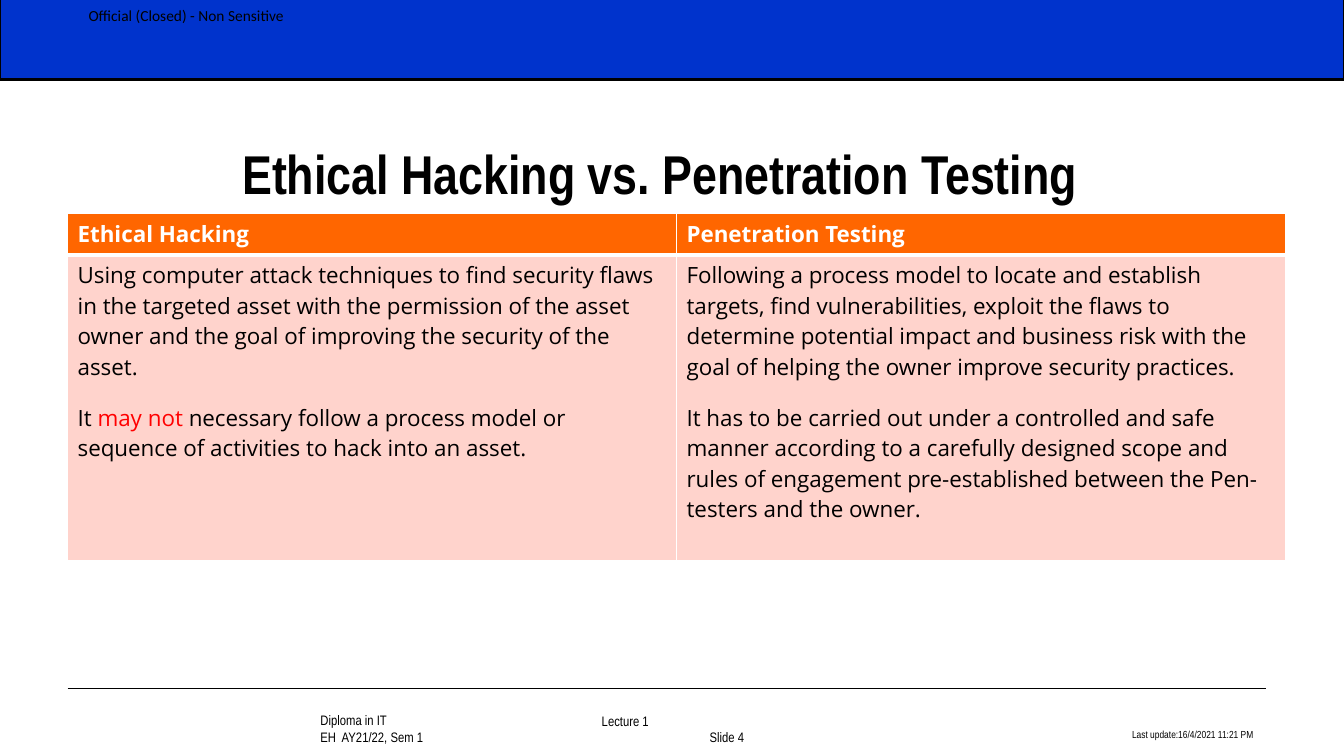
from pptx import Presentation
from pptx.dml.color import RGBColor
from pptx.enum.shapes import MSO_CONNECTOR, MSO_SHAPE
from pptx.enum.text import MSO_ANCHOR, PP_ALIGN
from pptx.oxml import parse_xml
from pptx.oxml.ns import nsdecls
from pptx.util import Inches, Pt

BLACK, WHITE = RGBColor(0, 0, 0), RGBColor(255, 255, 255)
BLUE, ORANGE = RGBColor(0x00, 0x33, 0xCC), RGBColor(0xFF, 0x66, 0x00)
PINK, RED = RGBColor(0xFF, 0xD3, 0xCC), RGBColor(0xFF, 0, 0)
NARROW, SANS, BODY = "Arial Narrow", "Calibri", "Open Sans"

TITLE = "Ethical Hacking vs. Penetration Testing"
# Each column: heading, then paragraphs made of (text, colour) runs
COLUMNS = [
    ("Ethical Hacking", [
        [("Using computer attack techniques to find security flaws in the "
          "targeted asset with the permission of the asset owner and the goal "
          "of improving the security of the asset.", BLACK)],
        [("It ", BLACK), ("may not ", RED),
         ("necessary follow a process model or sequence of activities to hack "
          "into an asset.", BLACK)],
    ]),
    ("Penetration Testing", [
        [("Following a process model to locate and establish targets, find "
          "vulnerabilities, exploit the flaws to determine potential impact "
          "and business risk with the goal of helping the owner improve "
          "security practices.", BLACK)],
        [("It has to be carried out under a controlled and safe manner "
          "according to a carefully designed scope and rules of engagement "
          "pre-established between the Pen-testers and the owner.", BLACK)],
    ]),
]
WIDTH, HEIGHT = 13.33, 7.5
LEFT, TABLE_TOP, TABLE_WIDTH = 0.67, 2.12, 12.08
ROW_HEIGHTS = (0.41, 3.03)
FOOT_BOTTOM, FOOT_LINE, FOOT_SIZE = 7.44, 0.16, 9.8

# text, (left, top, width, height), font, size, bold, alignment, anchor
LOW, MID = MSO_ANCHOR.BOTTOM, MSO_ANCHOR.MIDDLE
TEXTS = [
    ("Official (Closed) - Non Sensitive", (0.78, 0, 2.6, 0.31),
     SANS, 11, False, PP_ALIGN.LEFT, MID),
    (TITLE, (1.42, 0.74, 10.25, 1.35), NARROW, 39, True, PP_ALIGN.CENTER, LOW),
    ("Last update:16/4/2021 11:21 PM", (8.86, 6.98, 3.67, 0.42),
     NARROW, 7.3, False, PP_ALIGN.RIGHT, LOW),
]
# text, left, lines above the bottom of the footer
for text, left, raised in [("Diploma in IT\vEH  AY21/22, Sem 1", 3.08, 0),
                           ("Lecture 1", 5.87, 1), ("Slide 4", 6.94, 0)]:
    top = FOOT_BOTTOM - 0.42 - raised * FOOT_LINE
    TEXTS.append((text, (left, top, 2, 0.42), NARROW, FOOT_SIZE, False,
                  PP_ALIGN.LEFT, LOW))


def set_font(font, name, size, color, bold=False):
    """Apply typeface, size, colour and weight."""
    font.name, font.size, font.bold = name, Pt(size), bold
    font.color.rgb = color


def add_text(s, text, box, name, size, bold, align, anchor):
    """Add a wrapped text box with one paragraph."""
    tf = s.shapes.add_textbox(*map(Inches, box)).text_frame
    tf.word_wrap, tf.vertical_anchor = True, anchor
    p = tf.paragraphs[0]
    p.text, p.alignment = text, align
    set_font(p.font, name, size, BLACK, bold)


def style_cell(cell, fill, top, bottom):
    """Give a cell white borders and a solid fill."""
    cell.fill.solid()
    cell.fill.fore_color.rgb = fill
    tcPr = cell._tc.get_or_add_tcPr()
    for i, (side, width) in enumerate(zip("LRTB", (1, 1, top, bottom))):
        tcPr.insert(i, parse_xml(
            f'<a:ln{side} {nsdecls("a")} w="{Pt(width)}"><a:solidFill>'
            f'<a:srgbClr val="{WHITE}"/></a:solidFill></a:ln{side}>'))


def add_comparison(s):
    """Add the two-column comparison table."""
    box = (LEFT, TABLE_TOP, TABLE_WIDTH, sum(ROW_HEIGHTS))
    table = s.shapes.add_table(2, len(COLUMNS), *map(Inches, box)).table
    for row, height in zip(table.rows, ROW_HEIGHTS):
        row.height = Inches(height)
    for col, (heading, paragraphs) in enumerate(COLUMNS):
        table.columns[col].width = Inches(TABLE_WIDTH / len(COLUMNS))
        head, body = table.cell(0, col), table.cell(1, col)
        style_cell(head, ORANGE, 1, 3)
        style_cell(body, PINK, 3, 1)
        head.text = heading
        set_font(head.text_frame.paragraphs[0].font, BODY, 16, WHITE, True)
        tf = body.text_frame
        for i, runs in enumerate(paragraphs):
            p = tf.add_paragraph() if i else tf.paragraphs[0]
            p.space_before = Pt(15 if i else 0)
            set_font(p.font, BODY, 16, BLACK)
            for text, color in runs:
                r = p.add_run()
                r.text = text
                set_font(r.font, BODY, 16, color)


prs = Presentation()
prs.slide_width, prs.slide_height = Inches(WIDTH), Inches(HEIGHT)
s = prs.slides.add_slide(prs.slide_layouts[6])

rule = s.shapes.add_connector(MSO_CONNECTOR.STRAIGHT, Inches(LEFT), Inches(6.83),
                              Inches(12.56), Inches(6.83))
rule.line.color.rgb, rule.line.width = BLACK, Pt(1)
rule._element.spPr.append(parse_xml(f'<a:effectLst {nsdecls("a")}/>'))

banner = s.shapes.add_shape(MSO_SHAPE.RECTANGLE, 0, Inches(-0.04),
                            Inches(WIDTH), Inches(0.83))
banner.shadow.inherit = False
banner.fill.solid()
banner.fill.fore_color.rgb = BLUE
banner.line.color.rgb, banner.line.width = BLACK, Pt(1.5)

for item in TEXTS:
    add_text(s, *item)
add_comparison(s)
prs.save("out.pptx")
